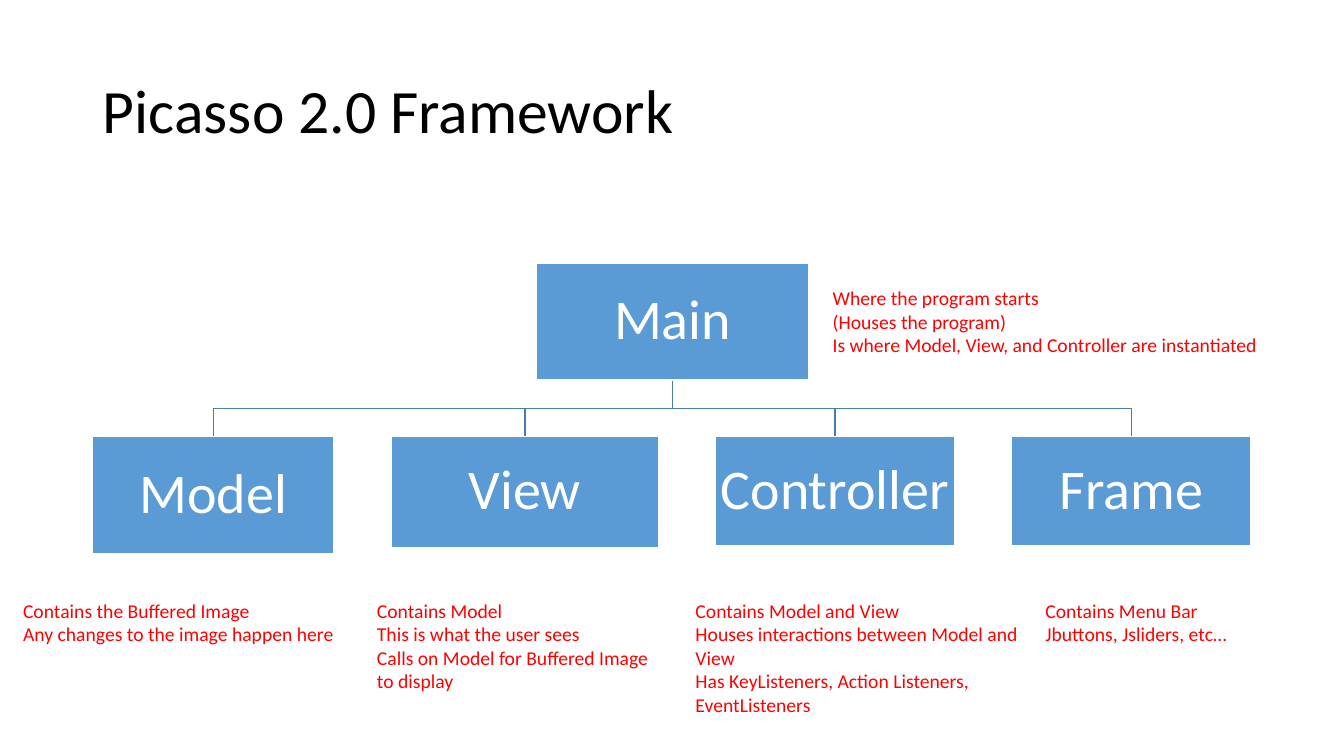
from dataclasses import dataclass

from pptx import Presentation
from pptx.dml.color import RGBColor
from pptx.enum.shapes import MSO_SHAPE
from pptx.enum.text import MSO_ANCHOR, MSO_AUTO_SIZE, PP_ALIGN
from pptx.util import Inches, Pt


@dataclass(frozen=True)
class Theme:
    font: str = "Calibri"
    title_color: RGBColor = RGBColor(0, 0, 0)
    box_fill: RGBColor = RGBColor(0x5B, 0x9B, 0xD5)
    box_text: RGBColor = RGBColor(0xFF, 0xFF, 0xFF)
    branch_color: RGBColor = RGBColor(0x49, 0x7C, 0xAB)
    note_color: RGBColor = RGBColor(0xFF, 0, 0)
    title_size: Pt = Pt(44)
    box_size: Pt = Pt(40)
    note_size: Pt = Pt(14)
    line_width: Pt = Pt(1)


class SlideBuilder:
    def __init__(self, slide, theme):
        self.slide = slide
        self.theme = theme

    def style(self, paragraph, size, color, align=PP_ALIGN.LEFT):
        paragraph.alignment = align
        paragraph.font.name = self.theme.font
        paragraph.font.size = size
        paragraph.font.color.rgb = color

    def title(self, text, left, top, width, height):
        title = self.slide.shapes.title
        title.left, title.top = Inches(left), Inches(top)
        title.width, title.height = Inches(width), Inches(height)
        frame = title.text_frame
        frame.text = text
        frame.auto_size = MSO_AUTO_SIZE.NONE
        frame.vertical_anchor = MSO_ANCHOR.MIDDLE
        frame.paragraphs[0].line_spacing = 0.9
        self.style(frame.paragraphs[0], self.theme.title_size, self.theme.title_color)

    def box(self, text, left, top, width, height):
        box = self.slide.shapes.add_shape(
            MSO_SHAPE.RECTANGLE, Inches(left), Inches(top), Inches(width), Inches(height))
        box.shadow.inherit = False
        box.fill.solid()
        box.fill.fore_color.rgb = self.theme.box_fill
        box.line.color.rgb = self.theme.box_text
        box.line.width = self.theme.line_width
        frame = box.text_frame
        frame.text = text
        frame.word_wrap = True
        frame.vertical_anchor = MSO_ANCHOR.MIDDLE
        frame.margin_left = frame.margin_right = Inches(0.03)
        frame.margin_top = frame.margin_bottom = Inches(0.03)
        frame.paragraphs[0].line_spacing = 0.9
        self.style(frame.paragraphs[0], self.theme.box_size, self.theme.box_text,
                   PP_ALIGN.CENTER)

    def branch(self, start_x, start_y, end_x, end_y):
        middle_y = (start_y + end_y) / 2
        outline = self.slide.shapes.build_freeform(Inches(start_x), Inches(start_y))
        bends = [(start_x, middle_y), (end_x, middle_y), (end_x, end_y)]
        outline.add_line_segments([(Inches(x), Inches(y)) for x, y in bends], close=False)
        branch = outline.convert_to_shape()
        branch.shadow.inherit = False
        branch.fill.background()
        branch.line.color.rgb = self.theme.branch_color
        branch.line.width = self.theme.line_width

    def note(self, lines, left, top, width, height, wrap=False):
        note = self.slide.shapes.add_textbox(
            Inches(left), Inches(top), Inches(width), Inches(height))
        frame = note.text_frame
        frame.text = "\n".join(lines)
        frame.word_wrap = wrap
        frame.auto_size = MSO_AUTO_SIZE.SHAPE_TO_FIT_TEXT
        for paragraph in frame.paragraphs:
            self.style(paragraph, self.theme.note_size, self.theme.note_color)


presentation = Presentation()
presentation.slide_width = Inches(13.33)
presentation.slide_height = Inches(7.5)
title_only = presentation.slide_layouts[5]
builder = SlideBuilder(presentation.slides.add_slide(title_only), Theme())

builder.title("Picasso 2.0 Framework", 0.92, 0.4, 11.5, 1.45)

# Hierarchy: Main above its four parts (name, left, width, height)
main_left, main_top, main_width, main_height = 5.32, 2.61, 2.7, 1.16
main_center, main_bottom = main_left + main_width / 2, main_top + main_height
parts_top = 4.33
parts = [
    ("Model", 0.92, 2.39, 1.16),
    ("View", 3.88, 2.65, 1.1),
    ("Controller", 7.09, 2.38, 1.08),
    ("Frame", 10.03, 2.38, 1.08),
]
for name, left, width, height in parts:
    builder.branch(main_center, main_bottom, left + width / 2, parts_top)
builder.box("Main", main_left, main_top, main_width, main_height)
for name, left, width, height in parts:
    builder.box(name, left, parts_top, width, height)

# Note beside Main
builder.note(["Where the program starts", "(Houses the program)",
              "Is where Model, View, and Controller are instantiated"],
             8.16, 2.79, 4.46, 0.81)

# Notes below the parts (lines, left, width, height, wrap)
notes_top = 5.89
part_notes = [
    (["Contains the Buffered Image", "Any changes to the image happen here"],
     0.13, 3.31, 0.57, False),
    (["Contains Model", "This is what the user sees",
      "Calls on Model for Buffered Image", "to display"],
     3.64, 2.96, 1.04, False),
    (["Contains Model and View", "Houses interactions between Model and View",
      "Has KeyListeners, Action Listeners,", "EventListeners"],
     6.8, 3.47, 1.28, True),
    (["Contains Menu Bar", "Jbuttons, Jsliders, etc…"],
     10.27, 2.04, 0.57, False),
]
for lines, left, width, height, wrap in part_notes:
    builder.note(lines, left, notes_top, width, height, wrap)

presentation.save("out.pptx")
